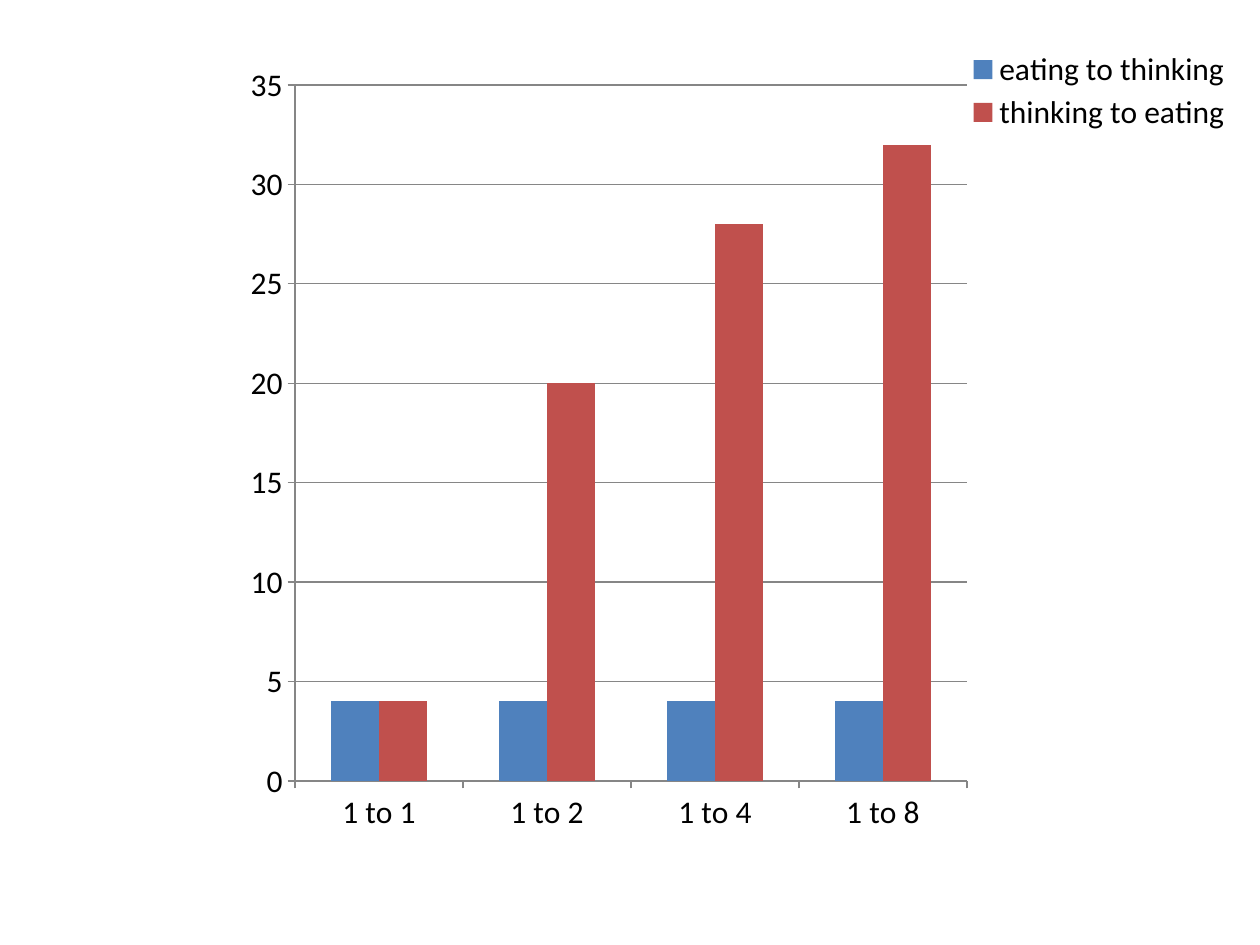
from lxml import etree
from pptx import Presentation
from pptx.chart.data import CategoryChartData
from pptx.dml.color import RGBColor
from pptx.enum.chart import XL_CHART_TYPE, XL_LEGEND_POSITION, XL_TICK_MARK
from pptx.oxml.ns import qn
from pptx.util import Emu, Pt

CLUSTERED = XL_CHART_TYPE.COLUMN_CLUSTERED
RIGHT = XL_LEGEND_POSITION.RIGHT
OUTSIDE = XL_TICK_MARK.OUTSIDE
NO_TICK = XL_TICK_MARK.NONE
PX = 914400 / 126
COLORS = {"text": "000000", "line": "868686",
          "eating to thinking": "4F81BD", "thinking to eating": "C0504D"}
CHART_LEFT, CHART_TOP, CHART_WIDTH, CHART_HEIGHT = 84, 42, 1207, 843


def px(length):
    return Emu(round(length * PX))


def place(part, after, left, top, width, height, inner=False):
    for old in part.findall(qn("c:layout")):
        part.remove(old)
    layout = etree.Element(qn("c:layout"))
    manual = etree.SubElement(layout, qn("c:manualLayout"))
    settings = [("layoutTarget", "inner")] if inner else []
    settings += [("xMode", "edge"), ("yMode", "edge"),
                 ("x", (left - CHART_LEFT) / CHART_WIDTH),
                 ("y", (top - CHART_TOP) / CHART_HEIGHT),
                 ("w", width / CHART_WIDTH), ("h", height / CHART_HEIGHT)]
    for tag, value in settings:
        etree.SubElement(manual, qn("c:" + tag)).set("val", str(value))
    if after is None:
        part.insert(0, layout)
    else:
        after.addnext(layout)


prs = Presentation()
prs.slide_width, prs.slide_height = px(1260), px(945)
slide = prs.slides.add_slide(prs.slide_layouts[6])

ratios = CategoryChartData()
ratios.categories = ["1 to 1", "1 to 2", "1 to 4", "1 to 8"]
ratios.add_series("eating to thinking", [4, 4, 4, 4])
ratios.add_series("thinking to eating", [4, 20, 28, 32])
chart = slide.shapes.add_chart(CLUSTERED, px(CHART_LEFT), px(CHART_TOP),
                               px(CHART_WIDTH), px(CHART_HEIGHT), ratios).chart
chart.has_title = False
chart.font.name = "Calibri"
chart.font.size = Pt(18)
chart.font.color.rgb = RGBColor.from_string(COLORS["text"])

columns = chart.plots[0]
columns.gap_width = 150
columns.overlap = 0
columns.vary_by_categories = False
for series in columns.series:
    series.format.fill.solid()
    series.format.fill.fore_color.rgb = RGBColor.from_string(COLORS[series.name])

count_axis = chart.value_axis
count_axis.minimum_scale, count_axis.maximum_scale = 0, 35
count_axis.major_unit = 5
count_axis.has_major_gridlines = True
for axis in (chart.category_axis, count_axis):
    axis.major_tick_mark = OUTSIDE
    axis.minor_tick_mark = NO_TICK
for ruled in (chart.category_axis, count_axis, count_axis.major_gridlines):
    ruled.format.line.color.rgb = RGBColor.from_string(COLORS["line"])
    ruled.format.line.width = Pt(0.75)

chart.has_legend = True
chart.legend.position = RIGHT
chart.legend.include_in_layout = False
legend = chart.legend._element
place(legend, legend.find(qn("c:legendPos")), 968, 46, 262, 90)
plot_area = legend.getparent().find(qn("c:plotArea"))
place(plot_area, None, 295, 85, 672, 696, inner=True)

prs.save("out.pptx")
